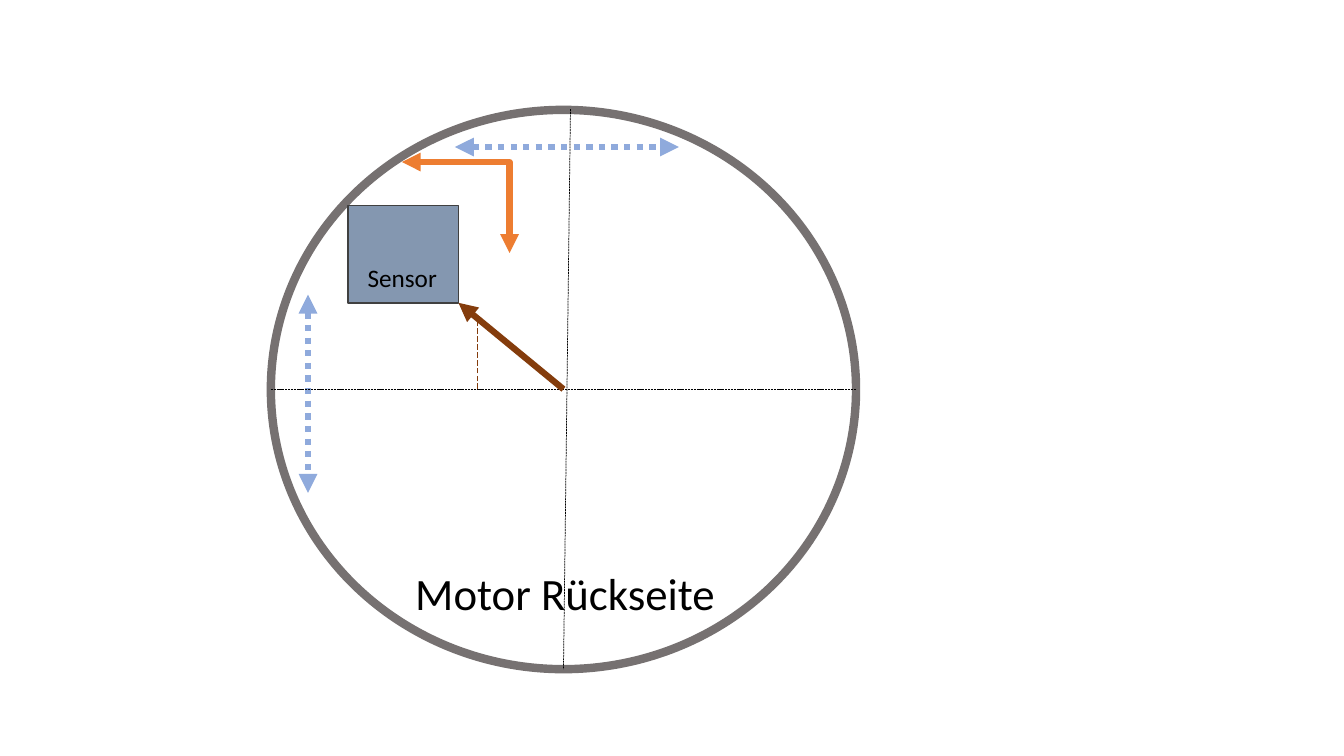
from pptx import Presentation
from pptx.dml.color import RGBColor
from pptx.enum.dml import MSO_LINE
from pptx.enum.shapes import MSO_CONNECTOR, MSO_SHAPE
from pptx.enum.text import MSO_AUTO_SIZE
from pptx.oxml.ns import qn
from pptx.util import Pt
from lxml import etree

STRAIGHT, ELBOW = MSO_CONNECTOR.STRAIGHT, MSO_CONNECTOR.ELBOW
OVAL, RECTANGLE = MSO_SHAPE.OVAL, MSO_SHAPE.RECTANGLE
DOTS, SHORT_DASHES, LONG_DASHES = MSO_LINE.ROUND_DOT, MSO_LINE.SQUARE_DOT, MSO_LINE.LONG_DASH

BLACK = RGBColor(0x00, 0x00, 0x00)
HOUSING_GRAY = RGBColor(0x76, 0x71, 0x71)
SENSOR_BLUE = RGBColor(0x84, 0x97, 0xB0)
SENSOR_EDGE = RGBColor(0x40, 0x40, 0x40)
ORANGE = RGBColor(0xED, 0x7D, 0x31)
LIGHT_BLUE = RGBColor(0x8F, 0xAA, 0xDC)
BROWN = RGBColor(0x84, 0x3C, 0x0C)

FONT = "Calibri"
ARROW_WIDTH, THIN = 4.5, 0.5


def add_outline(slide, kind, box, line_color, line_width, fill_color=None):
    outline = slide.shapes.add_shape(kind, *(Pt(v) for v in box))
    outline.shadow.inherit = False
    if fill_color is None:
        outline.fill.background()
    else:
        outline.fill.solid()
        outline.fill.fore_color.rgb = fill_color
    outline.line.color.rgb = line_color
    outline.line.width = Pt(line_width)


def add_line(slide, start, end, color, width, dash=None, ends=(), kind=STRAIGHT):
    connector = slide.shapes.add_connector(kind, *(Pt(v) for v in (*start, *end)))
    connector.line.color.rgb = color
    connector.line.width = Pt(width)
    if dash is not None:
        connector.line.dash_style = dash
    properties = connector._element.spPr
    stroke = properties.find(qn("a:ln"))
    for arrow_end in ends:
        etree.SubElement(stroke, qn(f"a:{arrow_end}")).set("type", "triangle")
    etree.SubElement(properties, qn("a:effectLst"))
    if kind == ELBOW:
        # One corner: across, then down
        properties.find(qn("a:prstGeom")).set("prst", "bentConnector2")


def add_label(slide, box, text, size, wrap):
    label = slide.shapes.add_textbox(*(Pt(v) for v in box))
    frame = label.text_frame
    frame.word_wrap = wrap
    frame.auto_size = MSO_AUTO_SIZE.SHAPE_TO_FIT_TEXT
    run = frame.paragraphs[0].add_run()
    run.text = text
    run.font.name = FONT
    run.font.size = Pt(size)
    run.font.color.rgb = BLACK


def main():
    presentation = Presentation()
    presentation.slide_width, presentation.slide_height = Pt(960), Pt(540)
    slide = presentation.slides.add_slide(presentation.slide_layouts[6])
    both_ends = ("headEnd", "tailEnd")
    center = (402.5, 278)

    # Motor housing and sensor
    add_outline(slide, OVAL, (193.5, 78.5, 418, 399.5), HOUSING_GRAY, 6)
    add_outline(slide, RECTANGLE, (248.5, 147, 79, 69.5), SENSOR_EDGE, 1, SENSOR_BLUE)

    # Directions of movement
    add_line(slide, (287, 115.7), (364, 180.7), ORANGE, ARROW_WIDTH, ends=both_ends, kind=ELBOW)
    for start, end in (((325, 105), (485, 105)), ((220, 210.5), (220, 352))):
        add_line(slide, start, end, LIGHT_BLUE, ARROW_WIDTH, DOTS, both_ends)

    # Axes of the motor
    for start, end in (((193.5, 278), (611.5, 278)), ((407.5, 78), (402.5, 478))):
        add_line(slide, start, end, BLACK, THIN, SHORT_DASHES)

    # Offset of the sensor from the center
    add_line(slide, center, (327.5, 216.3), BROWN, ARROW_WIDTH, ends=("tailEnd",))
    add_line(slide, (341, 278), (341, 227), BROWN, THIN, LONG_DASHES)

    # Labels
    add_label(slide, (289.5, 400.5, 270, 46), "Motor Rückseite", 32, True)
    add_label(slide, (255.5, 183.5, 65, 29), "Sensor", 18, False)

    presentation.save("out.pptx")


if __name__ == "__main__":
    main()
